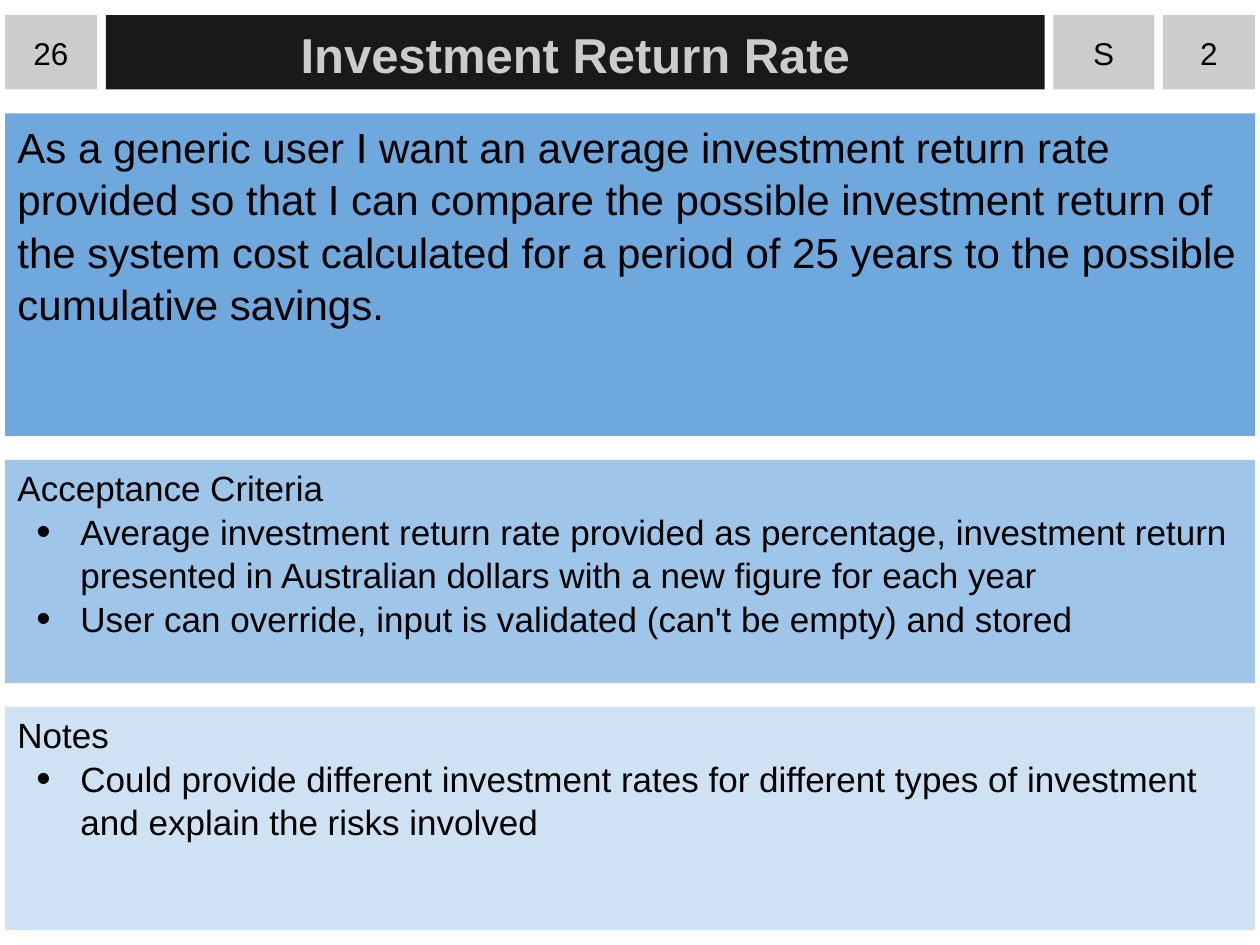
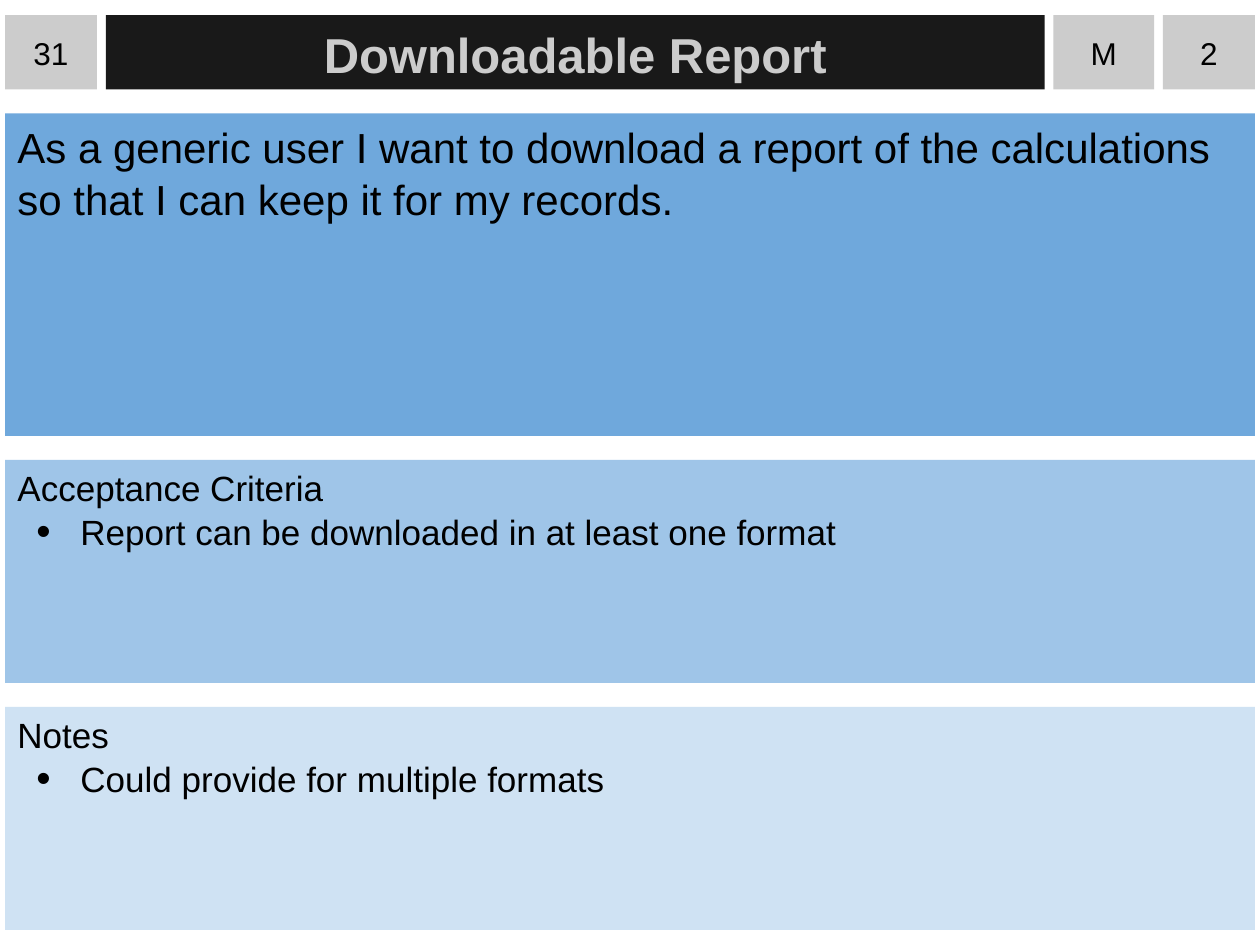
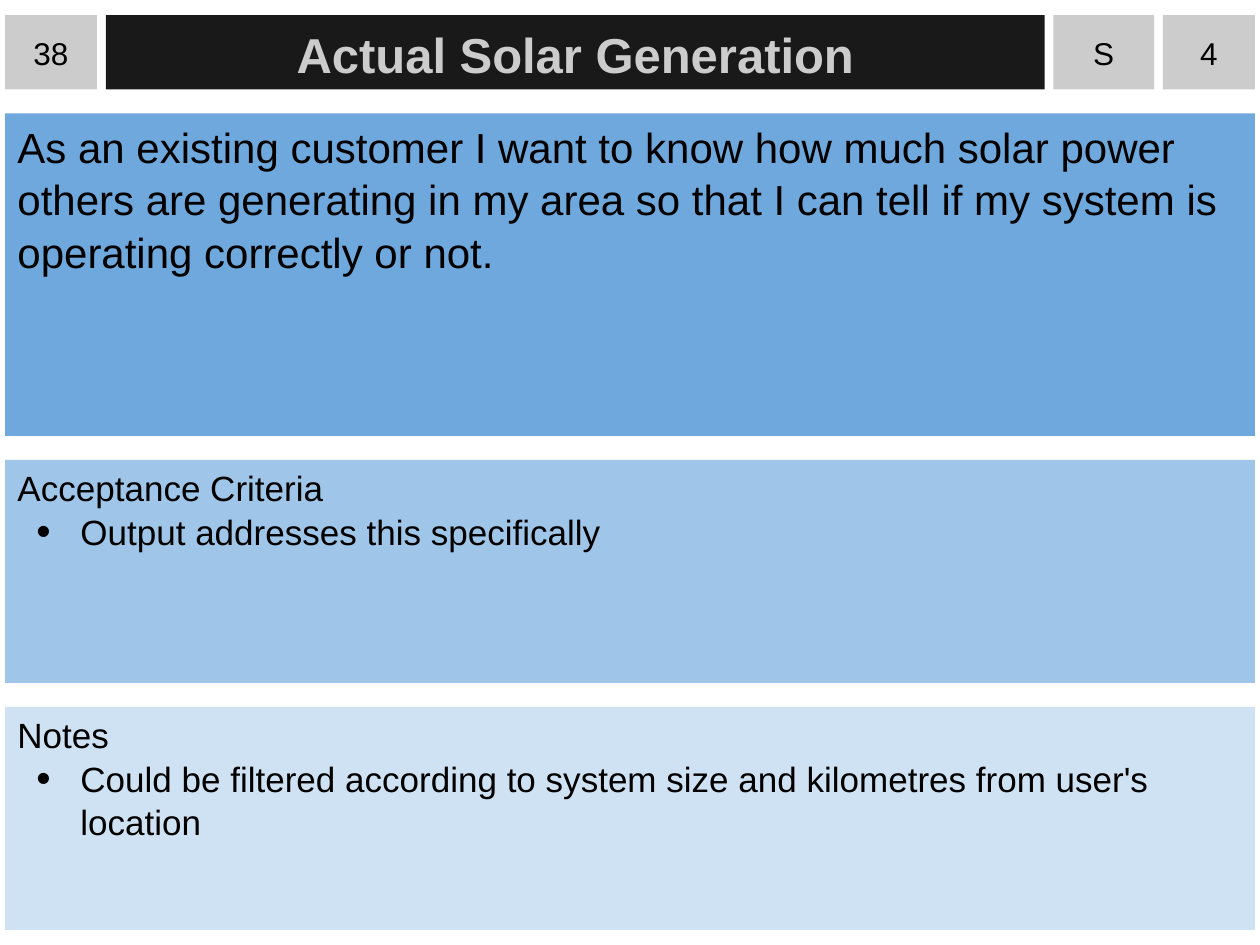
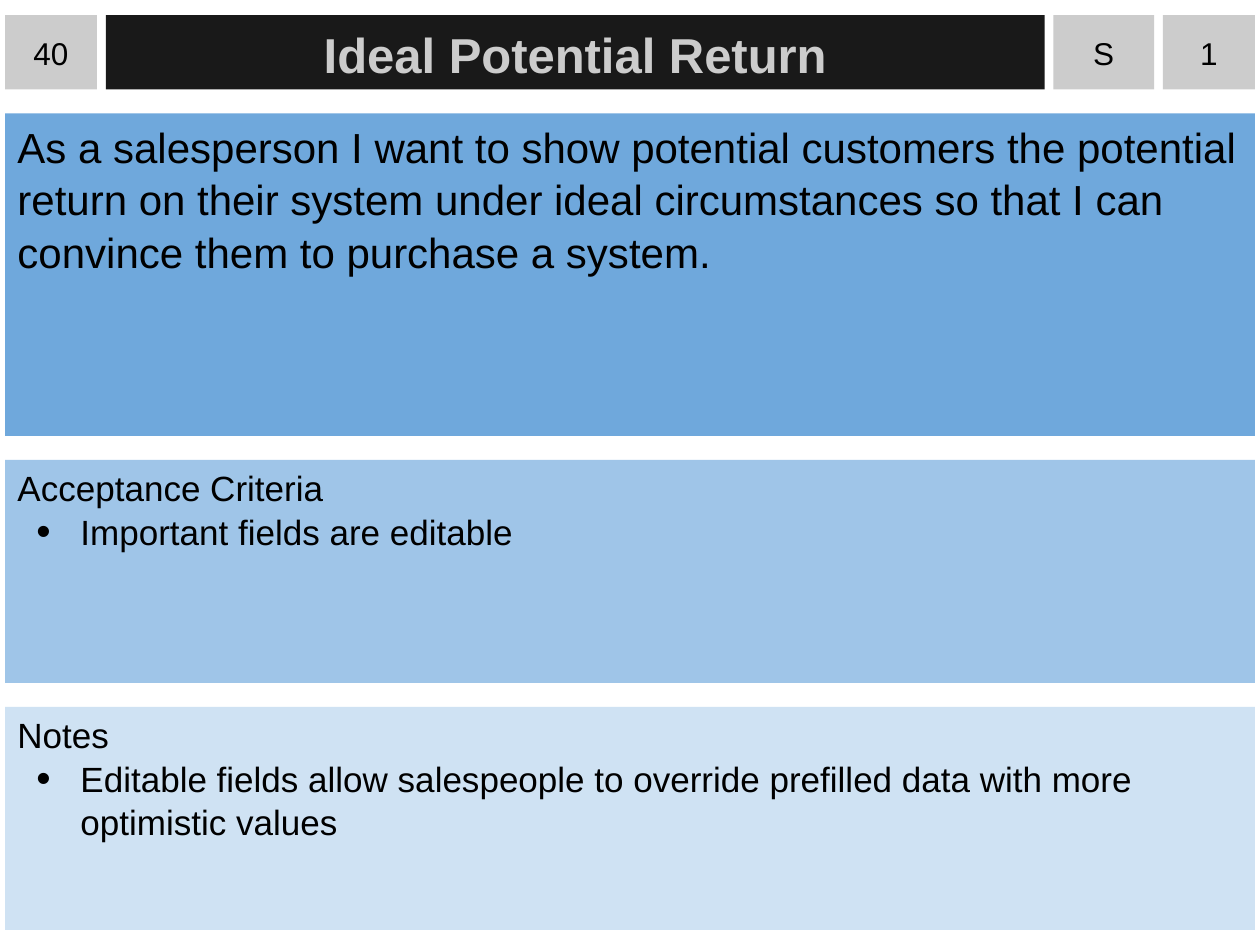
from dataclasses import dataclass

from lxml import etree
from pptx import Presentation
from pptx.dml.color import RGBColor
from pptx.enum.shapes import MSO_SHAPE
from pptx.enum.text import MSO_ANCHOR, PP_ALIGN
from pptx.oxml.ns import qn
from pptx.util import Inches, Pt

RECTANGLE = MSO_SHAPE.RECTANGLE
TOP, MIDDLE = MSO_ANCHOR.TOP, MSO_ANCHOR.MIDDLE
LEFT, CENTER = PP_ALIGN.LEFT, PP_ALIGN.CENTER

MARGIN = 0.04
CARD_WIDTH = 9.92
HEADER_TOP, HEADER_HEIGHT = 0.12, 0.59
SECTION_HEIGHT = 1.77


@dataclass(frozen=True)
class Theme:
    font: str = "Arial"
    ink: str = "000000"
    badge: str = "CCCCCC"
    title_band: str = "191919"
    title_ink: str = "CCCCCC"
    story: str = "6FA8DC"
    criteria: str = "9FC5E8"
    notes: str = "CFE2F3"
    badge_size: int = 18
    title_size: int = 28
    story_size: int = 24
    section_size: int = 20
    line_spacing: float = 1.04


@dataclass(frozen=True)
class Story:
    number: str
    title: str
    priority: str
    points: str
    text: str
    criteria: tuple
    notes: tuple


STORIES = (
    Story(
        "26", "Investment Return Rate", "S", "2",
        "As a generic user I want an average investment return rate provided so that "
        "I can compare the possible investment return of the system cost calculated "
        "for a period of 25 years to the possible cumulative savings.",
        ("Average investment return rate provided as percentage, investment return "
         "presented in Australian dollars with a new figure for each year",
         "User can override, input is validated (can't be empty) and stored"),
        ("Could provide different investment rates for different types of investment "
         "and explain the risks involved",),
    ),
    Story(
        "31", "Downloadable Report", "M", "2",
        "As a generic user I want to download a report of the calculations so that "
        "I can keep it for my records.",
        ("Report can be downloaded in at least one format",),
        ("Could provide for multiple formats",),
    ),
    Story(
        "38", "Actual Solar Generation", "S", "4",
        "As an existing customer I want to know how much solar power others are "
        "generating in my area so that I can tell if my system is operating "
        "correctly or not.",
        ("Output addresses this specifically",),
        ("Could be filtered according to system size and kilometres from user's "
         "location",),
    ),
    Story(
        "40", "Ideal Potential Return", "S", "1",
        "As a salesperson I want to show potential customers the potential return on "
        "their system under ideal circumstances so that I can convince them to "
        "purchase a system.",
        ("Important fields are editable",),
        ("Editable fields allow salespeople to override prefilled data with more "
         "optimistic values",),
    ),
)


class CardDeck:
    def __init__(self, theme):
        self.theme = theme
        self.presentation = Presentation()
        self.presentation.slide_width = Inches(10)
        self.presentation.slide_height = Inches(7.5)
        self.slide = None

    def new_card(self):
        blank = self.presentation.slide_layouts[6]
        self.slide = self.presentation.slides.add_slide(blank)

    def panel(self, left, top, width, height, color, anchor=TOP, side=0.1, inset_top=0.05):
        panel = self.slide.shapes.add_shape(
            RECTANGLE, Inches(left), Inches(top), Inches(width), Inches(height))
        panel.shadow.inherit = False
        panel.fill.solid()
        panel.fill.fore_color.rgb = RGBColor.from_string(color)
        panel.line.fill.background()
        frame = panel.text_frame
        frame.word_wrap = True
        frame.vertical_anchor = anchor
        frame.margin_left = frame.margin_right = Inches(side)
        frame.margin_top = Inches(inset_top)
        frame.margin_bottom = Inches(0.05)
        return frame

    def add_text(self, paragraph, text, size, color=None, bold=False, align=LEFT):
        paragraph.alignment = align
        paragraph.line_spacing = self.theme.line_spacing
        run = paragraph.add_run()
        run.text = text
        run.font.name = self.theme.font
        run.font.size = Pt(size)
        run.font.bold = bold
        run.font.color.rgb = RGBColor.from_string(color or self.theme.ink)

    def bullet(self, paragraph):
        properties = paragraph._p.get_or_add_pPr()
        properties.set("marL", str(Inches(0.5)))
        properties.set("indent", str(Inches(-0.35)))
        bullet_color = etree.SubElement(properties, qn("a:buClr"))
        etree.SubElement(bullet_color, qn("a:srgbClr"), val=self.theme.ink)
        etree.SubElement(properties, qn("a:buSzPct"), val="117000")
        etree.SubElement(properties, qn("a:buFont"), typeface=self.theme.font)
        etree.SubElement(properties, qn("a:buChar"), char="•")

    def badge(self, left, width, text):
        frame = self.panel(left, HEADER_TOP, width, HEADER_HEIGHT,
                           self.theme.badge, MIDDLE, side=0)
        self.add_text(frame.paragraphs[0], text, self.theme.badge_size, align=CENTER)

    def title(self, text):
        frame = self.panel(0.84, HEADER_TOP, 7.45, HEADER_HEIGHT,
                           self.theme.title_band, MIDDLE)
        self.add_text(frame.paragraphs[0], text, self.theme.title_size,
                      self.theme.title_ink, bold=True, align=CENTER)

    def story_text(self, text):
        frame = self.panel(MARGIN, 0.9, CARD_WIDTH, 2.56, self.theme.story)
        self.add_text(frame.paragraphs[0], text, self.theme.story_size)

    def section(self, top, color, heading, items):
        frame = self.panel(MARGIN, top, CARD_WIDTH, SECTION_HEIGHT, color, inset_top=0.04)
        self.add_text(frame.paragraphs[0], heading, self.theme.section_size)
        for item in items:
            paragraph = frame.add_paragraph()
            self.bullet(paragraph)
            self.add_text(paragraph, item, self.theme.section_size)

    def add_story(self, story):
        self.new_card()
        self.badge(MARGIN, 0.73, story.number)
        self.title(story.title)
        self.story_text(story.text)
        self.badge(9.23, 0.73, story.points)
        self.badge(8.36, 0.8, story.priority)
        self.section(3.65, self.theme.criteria, "Acceptance Criteria", story.criteria)
        self.section(5.61, self.theme.notes, "Notes", story.notes)


def main():
    deck = CardDeck(Theme())
    for story in STORIES:
        deck.add_story(story)
    deck.presentation.save("out.pptx")


if __name__ == "__main__":
    main()
